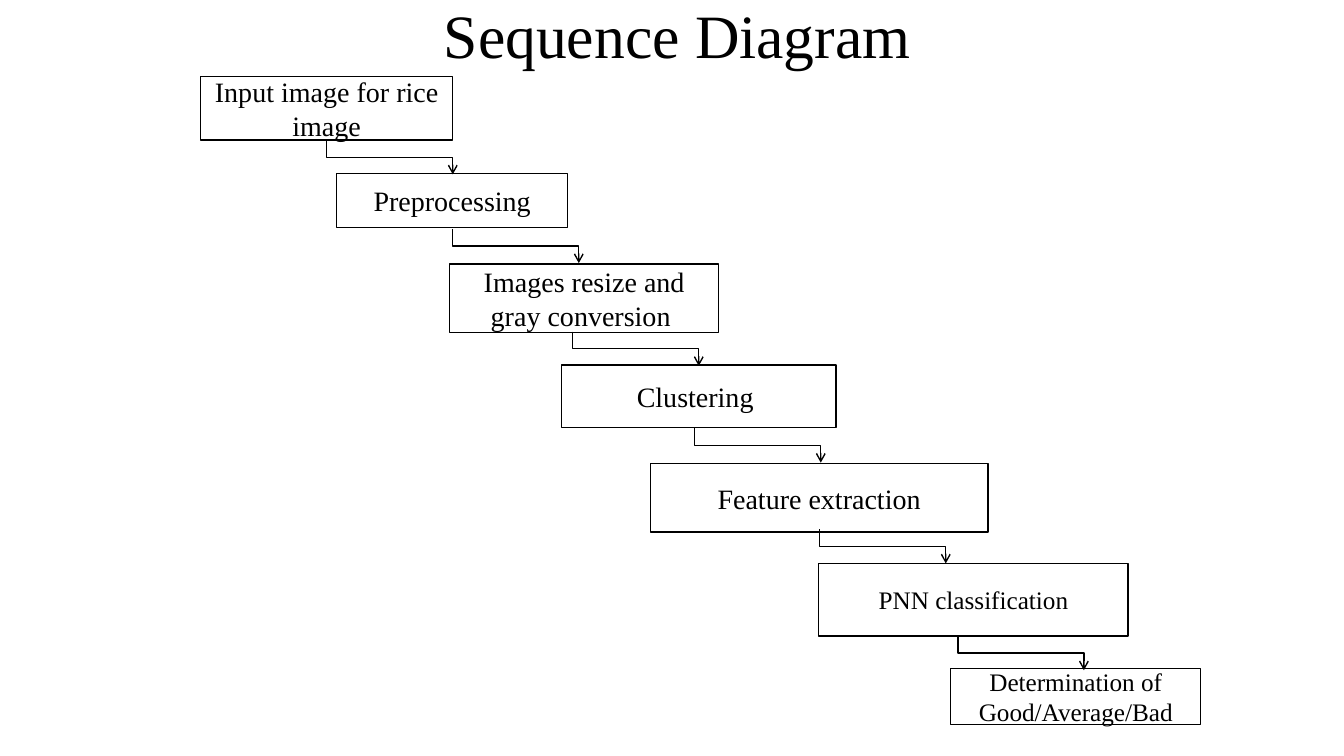
from dataclasses import dataclass

from lxml import etree
from pptx import Presentation
from pptx import util as u
from pptx.dml.color import RGBColor
from pptx.enum import shapes, text
from pptx.oxml import ns


@dataclass(frozen=True)
class Theme:
    ink: RGBColor = RGBColor(0, 0, 0)
    paper: RGBColor = RGBColor(255, 255, 255)
    font: str = "Times New Roman"
    title_size: int = 44
    step_size: int = 20
    result_size: int = 18
    line_width: int = 1


THEME = Theme()
ARROW_RUN, ARROW_DROP = 1.25, 0.34

STEPS = [
    ("Input image for rice image", 0, 0, 2.5, 0.63, THEME.step_size),
    ("Preprocessing", 1.35, 0.96, 2.29, 0.54, THEME.step_size),
    ("Images resize and gray conversion ", 2.47, 1.86, 2.67, 0.68, THEME.step_size),
    ("Clustering ", 3.58, 2.86, 2.72, 0.62, THEME.step_size),
    ("Feature extraction", 4.46, 3.84, 3.35, 0.68, THEME.step_size),
    ("PNN classification", 6.13, 4.83, 3.07, 0.72, THEME.result_size),
    ("Determination of Good/Average/Bad", 7.44, 5.87, 2.48, 0.56, THEME.result_size),
]
ARROW_STARTS = [(1.25, 0.63), (2.5, 1.51), (3.69, 2.53),
                (4.9, 3.49), (6.14, 4.49), (7.51, 5.55)]


def apply(target, formats):
    for name, value in formats.items():
        setattr(target, name, value)


def write(frame, words, size, spacing=1.0):
    apply(frame, {"word_wrap": True, "vertical_anchor": text.MSO_ANCHOR.MIDDLE})
    paragraph = frame.paragraphs[0]
    apply(paragraph, {"alignment": text.PP_ALIGN.CENTER, "line_spacing": spacing})
    run = paragraph.add_run()
    run.text = words
    apply(run.font, {"name": THEME.font, "size": u.Pt(size)})
    run.font.color.rgb = THEME.ink


def draw_line(line):
    line.fill.solid()
    line.fill.fore_color.rgb = THEME.ink
    line.width = u.Pt(THEME.line_width)


def add_title(slide, left, top, width, height):
    title = slide.shapes.add_textbox(*map(u.Inches, (left, top, width, height)))
    write(title.text_frame, "Sequence Diagram", THEME.title_size, 0.9)


def add_step(slide, words, left, top, width, height, size):
    step = slide.shapes.add_shape(shapes.MSO_SHAPE.RECTANGLE,
                                  *map(u.Inches, (left, top, width, height)))
    step.shadow.inherit = False
    step.fill.solid()
    step.fill.fore_color.rgb = THEME.paper
    draw_line(step.line)
    write(step.text_frame, words, size)


def add_step_arrow(slide, left, top):
    x = left + (ARROW_RUN - ARROW_DROP) / 2
    y = top - (ARROW_RUN - ARROW_DROP) / 2
    arrow = slide.shapes.add_connector(
        shapes.MSO_CONNECTOR.ELBOW,
        *map(u.Inches, (x, y, x + ARROW_DROP, y + ARROW_RUN)))
    draw_line(arrow.line)
    properties = arrow._element.spPr
    for name, value in {"rot": "16200000", "flipH": "1"}.items():
        properties.find(ns.qn("a:xfrm")).set(name, value)
    etree.SubElement(properties.find(ns.qn("a:ln")), ns.qn("a:tailEnd"), type="arrow")
    etree.SubElement(properties, ns.qn("a:effectLst"))


def add_staircase(slide, left, top):
    for words, x, y, width, height, size in STEPS:
        add_step(slide, words, left + x, top + y, width, height, size)
    for x, y in ARROW_STARTS:
        add_step_arrow(slide, left + x, top + y)


def main():
    deck = Presentation()
    apply(deck, {"slide_width": u.Inches(13.33), "slide_height": u.Inches(7.5)})
    slide = deck.slides.add_slide(deck.slide_layouts[6])
    add_title(slide, 0.97, 0, 11.5, 0.76)
    add_staircase(slide, 1.99, 0.76)
    deck.save("out.pptx")


if __name__ == "__main__":
    main()
